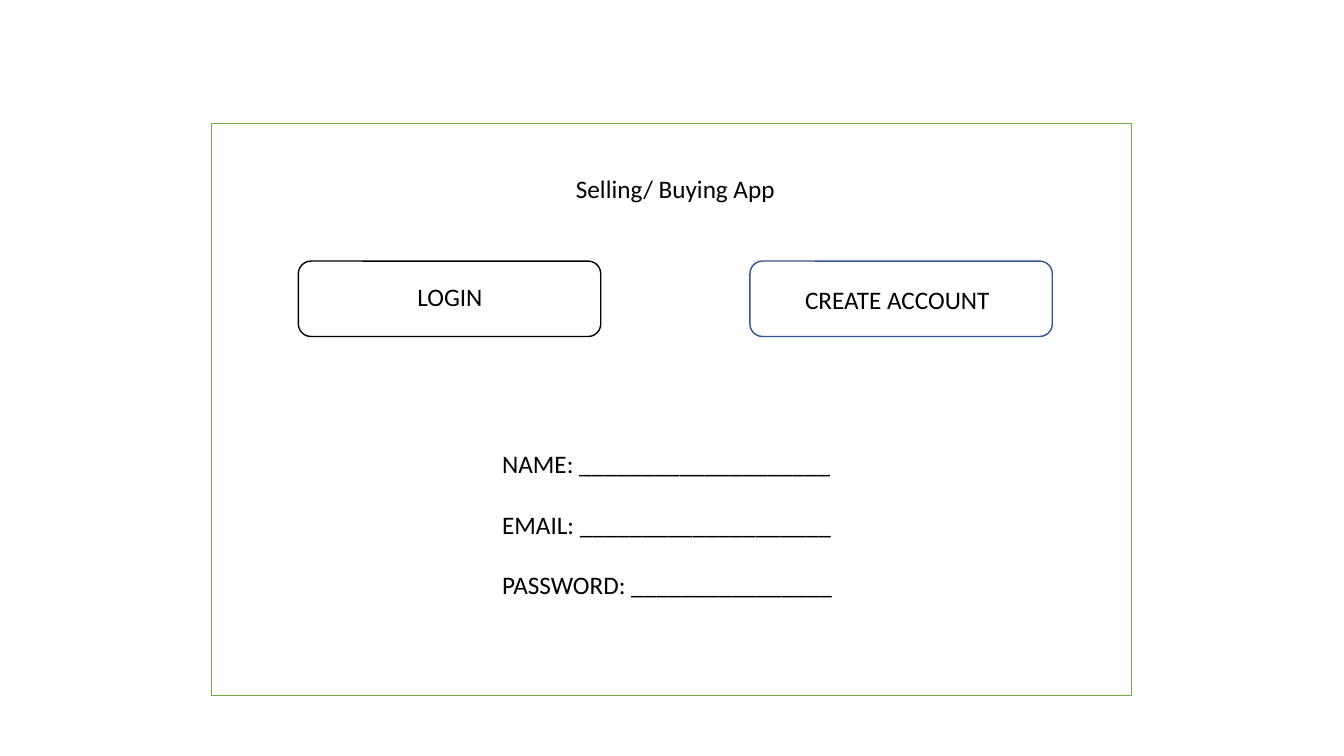
from lxml.etree import SubElement
from pptx import Presentation
from pptx.dml.color import RGBColor
from pptx.enum.shapes import MSO_SHAPE
from pptx.enum.text import MSO_ANCHOR, MSO_AUTO_SIZE, PP_ALIGN
from pptx.oxml.ns import qn
from pptx.util import Cm, Pt

FIELDS = [("NAME", 20), ("EMAIL", 20), ("PASSWORD", 16)]
BUTTONS = [
    # left, outline, label, label box
    (7.52, "000000", "LOGIN", (8.84, 6.96, 5, 1.02)),
    (18.9, "325491", "CREATE ACCOUNT", (20.04, 7.04, 5.31, 1.02)),
]


def color(code):
    return RGBColor.from_string(code)


def place(shape, left, top, width, height):
    shape.left, shape.top = Cm(left), Cm(top)
    shape.width, shape.height = Cm(width), Cm(height)


def write(shape, lines, align, gap=0):
    """Fill a shape with 18 pt lines, gap points apart."""
    frame = shape.text_frame
    frame.text = "\n".join(lines)
    frame.word_wrap = True
    frame.auto_size = MSO_AUTO_SIZE.NONE
    frame.vertical_anchor = MSO_ANCHOR.TOP
    for para in frame.paragraphs:
        para.alignment = align
        para.space_before, para.space_after = Pt(0), Pt(gap)
        para.font.name, para.font.size = "Calibri", Pt(18)
        para.font.color.rgb = color("000000")


def strip_bullets(shape):
    for para in shape.text_frame.paragraphs:
        props = para._p.get_or_add_pPr()
        props.set("marL", "0")
        props.set("indent", "0")
        SubElement(props, qn("a:buNone"))
        # The schema wants the bullet ahead of the default run properties
        props.append(props.find(qn("a:defRPr")))


def add_panel(slide, kind, box, line):
    panel = slide.shapes.add_shape(kind, *map(Cm, box))
    panel.shadow.inherit = False
    panel.fill.solid()
    panel.fill.fore_color.rgb = color("FFFFFF")
    panel.line.color.rgb = color(line)
    panel.line.width = Pt(1)
    return panel


def add_button(slide, left, line, label, box):
    add_panel(slide, MSO_SHAPE.ROUNDED_RECTANGLE, (left, 6.58, 7.62, 1.9), line)
    text = slide.shapes.add_textbox(*map(Cm, box))
    write(text, [label], PP_ALIGN.CENTER if label == "LOGIN" else PP_ALIGN.LEFT)


def main():
    deck = Presentation()
    deck.slide_width, deck.slide_height = Cm(33.87), Cm(19.05)
    slide = deck.slides.add_slide(deck.slide_layouts[1])

    screen = add_panel(slide, MSO_SHAPE.RECTANGLE, (5.33, 3.12, 23.19, 14.4), "70AD47")
    slide.shapes._spTree.insert(2, screen._element)  # behind the placeholders

    title, form = slide.placeholders
    place(title, 11.33, 4.24, 11.38, 1.02)
    write(title, ["Selling/ Buying App"], PP_ALIGN.CENTER)

    for button in BUTTONS:
        add_button(slide, *button)

    place(form, 12.4, 11.18, 9.19, 4.1)
    lines = [f"{name}: {'_' * count}" for name, count in FIELDS]
    write(form, lines, PP_ALIGN.LEFT, gap=21.6)
    strip_bullets(form)

    deck.save("out.pptx")


if __name__ == "__main__":
    main()
